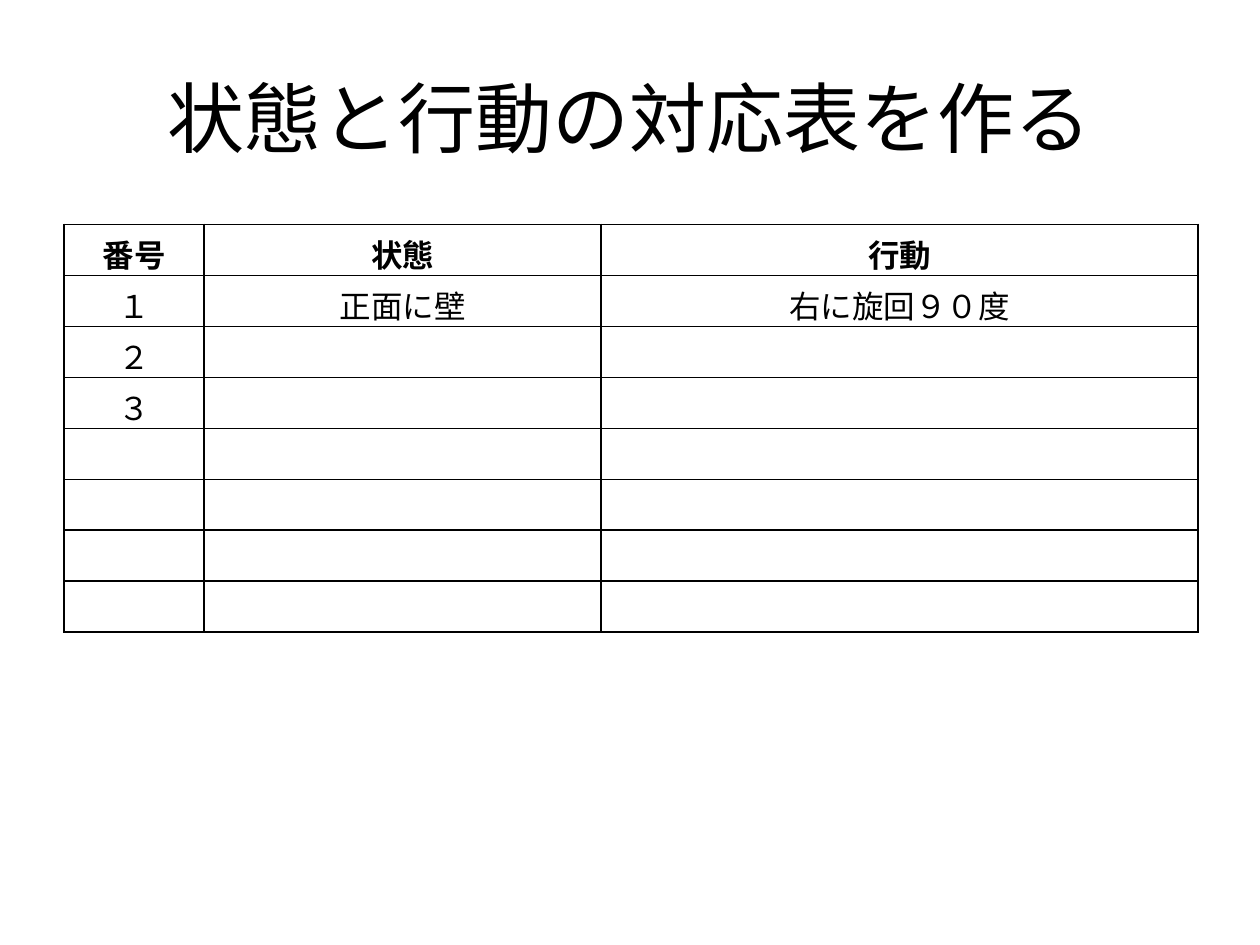
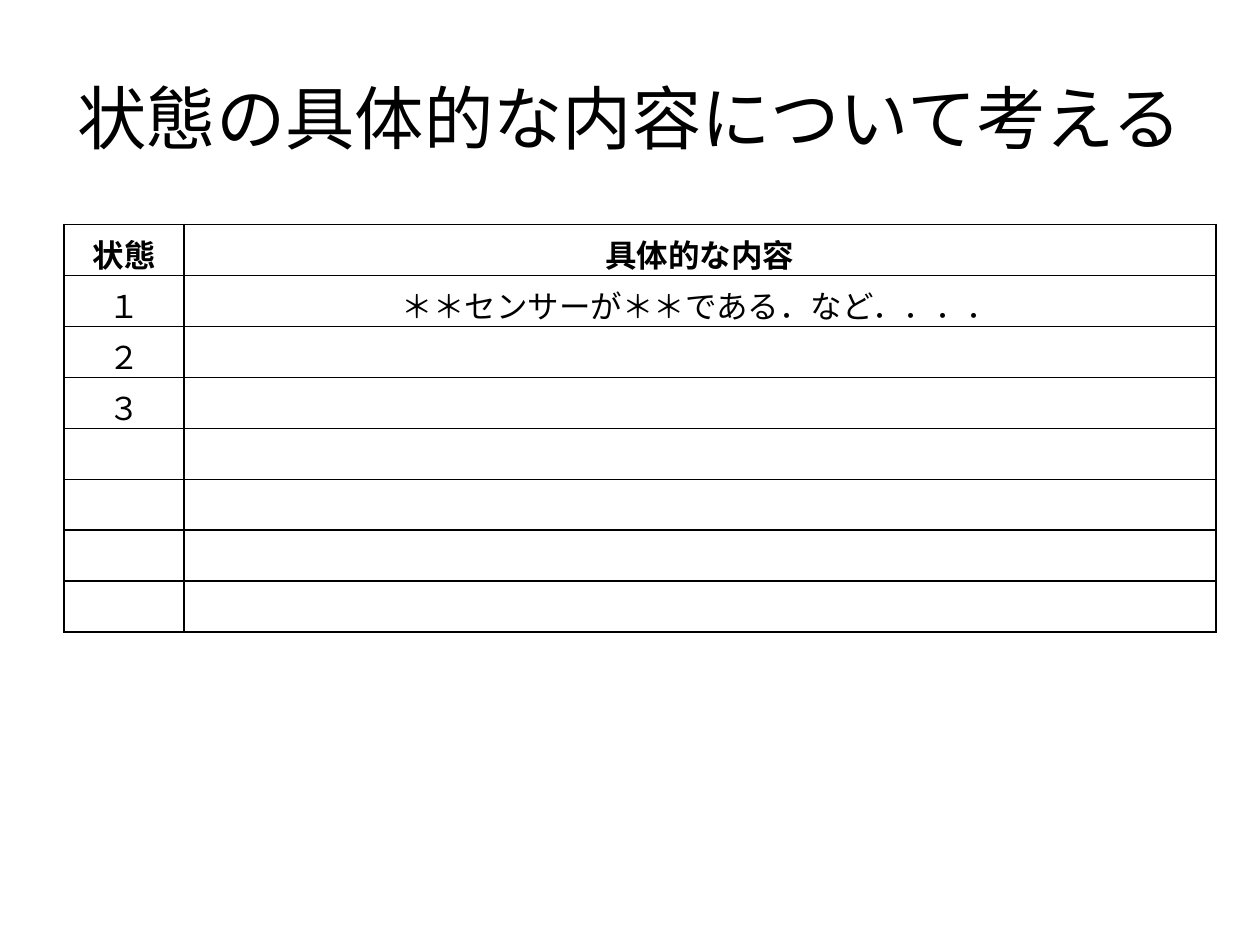
from lxml import etree
from pptx import Presentation
from pptx import util as u
from pptx.dml.color import RGBColor
from pptx.enum import text
from pptx.oxml import ns

INK, PAPER = "000000", "FFFFFF"
FONT = "Calibri"
ROWS = 8

deck = Presentation()
deck.slide_width, deck.slide_height = u.Inches(10), u.Inches(7.5)
W, H = deck.slide_width, deck.slide_height


def style(paragraph, size, bold=False):
    paragraph.alignment = text.PP_ALIGN.CENTER
    font = paragraph.font
    font.name, font.size, font.bold = FONT, u.Pt(size), bold
    font.color.rgb = RGBColor.from_string(INK)


def add_borders(cell):
    properties = cell._tc.get_or_add_tcPr()
    for position, side in enumerate(("lnL", "lnR", "lnT", "lnB")):
        line = etree.Element(ns.qn("a:" + side), w=str(u.Pt(1)))
        fill = etree.SubElement(line, ns.qn("a:solidFill"))
        etree.SubElement(fill, ns.qn("a:srgbClr"), val=INK)
        properties.insert(position, line)


# Title, title size, column widths in inches, filled rows
worksheets = [
    ("状態と行動の対応表を作る", 44, (1.11, 3.15, 4.74),
     [("番号", "状態", "行動"),
      ("１", "正面に壁", "右に旋回９０度"),
      ("２",), ("３",)]),
    ("状態の具体的な内容について考える", 39.6, (0.95, 8.19),
     [("状態", "具体的な内容"),
      ("１", "＊＊センサーが＊＊である．など．．．．"),
      ("２",), ("３",)]),
]

for heading, heading_size, widths, entries in worksheets:
    slide = deck.slides.add_slide(deck.slide_layouts[6])

    # Title
    title = slide.shapes.add_textbox(int(W * 0.05), int(H * 0.04),
                                     int(W * 0.9), u.Inches(1.25)).text_frame
    title.word_wrap = True
    title.margin_left = title.margin_right = 0
    title.vertical_anchor = text.MSO_ANCHOR.MIDDLE
    title.text = heading
    style(title.paragraphs[0], heading_size)

    # Worksheet table: header, worked example, rows left to fill in
    worksheet = slide.shapes.add_table(
        ROWS, len(widths), u.Inches(0.51), u.Inches(1.78),
        u.Inches(sum(widths)), u.Inches(3.24)).table
    worksheet.first_row = worksheet.horz_banding = False
    for column, width in zip(worksheet.columns, widths):
        column.width = u.Inches(width)
    for r in range(ROWS):
        for c in range(len(widths)):
            cell = worksheet.cell(r, c)
            if r < len(entries) and c < len(entries[r]):
                cell.text = entries[r][c]
            style(cell.text_frame.paragraphs[0], 18, bold=r == 0)
            cell.fill.solid()
            cell.fill.fore_color.rgb = RGBColor.from_string(PAPER)
            add_borders(cell)

deck.save("out.pptx")
